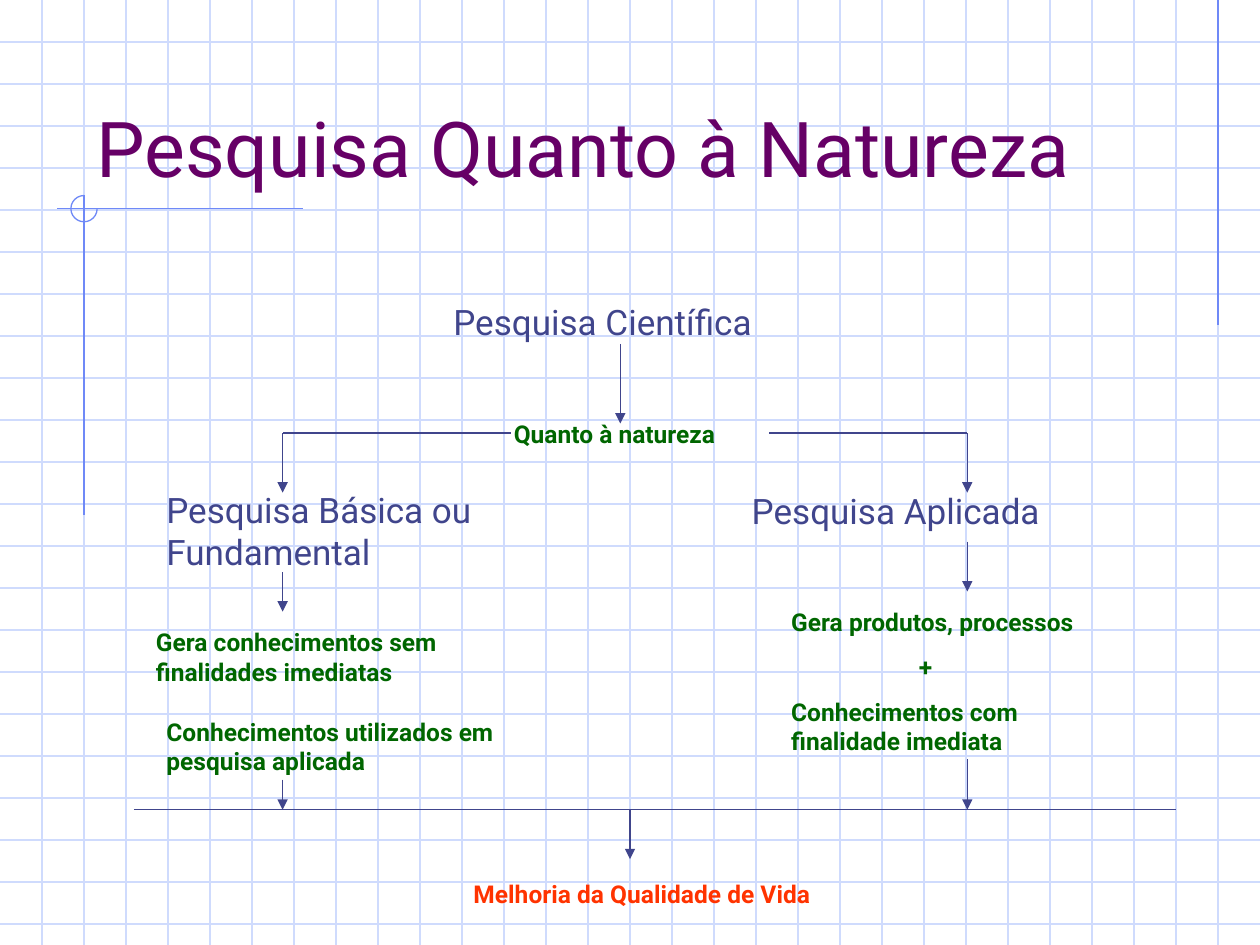
from lxml.etree import SubElement
from pptx import Presentation
from pptx.dml.color import RGBColor
from pptx.enum.shapes import MSO_CONNECTOR, MSO_SHAPE
from pptx.enum.text import MSO_ANCHOR
from pptx.oxml.ns import qn
from pptx.util import Pt

WIDTH, HEIGHT, GRID = 720, 540, 24
FONT = "Roboto"
COLORS = {
    "grid": "CFDBFD", "accent": "6F89F7", "title": "660066",
    "navy": "40458C", "green": "006600", "red": "FF3300",
}

TITLE = "Pesquisa Quanto à Natureza"
HEADINGS = [
    ("Pesquisa Científica", 252, 168, 221, 32),
    ("Pesquisa Básica ou Fundamental", 88, 275.5, 221, 55.5),
    ("Pesquisa Aplicada", 422.5, 276, 221, 32),
]
NOTES = [
    (["Quanto à natureza"], 286.5, 236, 159, 24.5, "green"),
    (["Gera produtos, processos", "+", "Conhecimentos com finalidade imediata"],
     445, 343.5, 209.5, 92, "green"),
    (["Gera conhecimentos sem finalidades imediatas"], 82, 355, 209.5, 41, "green"),
    (["Conhecimentos utilizados em pesquisa aplicada"], 88, 406, 209.5, 41, "green"),
    (["Melhoria da Qualidade de Vida"], 263.5, 499, 272, 24.5, "red"),
]

LEFT, RIGHT, BRANCH, BASE = 161.5, 552.75, 247.5, 462.75
ARROWS = [
    (354.5, 196.5, 242), (LEFT, BRANCH, 281.5), (RIGHT, BRANCH, 281.5),
    (RIGHT, 309.5, 338), (LEFT, 327, 349.5), (LEFT, 445.5, BASE),
    (RIGHT, 434, BASE), (360, BASE, 491),
]
BARS = [(292, LEFT, BRANCH), (439.5, RIGHT, BRANCH), (76.5, 672, BASE)]
CROSS_X, CROSS_Y, RADIUS = 48, 119.25, 7.5
ACCENTS = [
    (696, 0, 696, 186), (173, CROSS_Y, 32.5, CROSS_Y),
    (CROSS_X, 111.5, CROSS_X, 294.5),
]


def rgb(name):
    return RGBColor.from_string(COLORS[name])


def add_line(x1, y1, x2, y2, color, arrow=False):
    sp = slide.shapes.add_connector(
        MSO_CONNECTOR.STRAIGHT, Pt(x1), Pt(y1), Pt(x2), Pt(y2))
    sp.line.color.rgb = rgb(color)
    sp.line.width = Pt(0.75)
    if arrow:
        SubElement(sp.line._get_or_add_ln(), qn("a:tailEnd"), type="triangle")
    SubElement(sp._element.spPr, qn("a:effectLst"))


def add_text(paragraphs, x, y, w, h, size, color, bold=False,
             anchor=MSO_ANCHOR.TOP, before=0):
    sp = slide.shapes.add_textbox(Pt(x), Pt(y), Pt(w), Pt(h))
    tf = sp.text_frame
    tf.word_wrap = True
    tf.vertical_anchor = anchor
    for i, text in enumerate(paragraphs):
        p = tf.paragraphs[0] if i == 0 else tf.add_paragraph()
        p.space_before = Pt(before)
        if text == "+":
            p._p.get_or_add_pPr().set("marL", str(Pt(73)))
        r = p.add_run()
        r.text = text
        r.font.name, r.font.size, r.font.bold = FONT, Pt(size), bold
        r.font.color.rgb = rgb(color)


prs = Presentation()
prs.slide_width, prs.slide_height = Pt(WIDTH), Pt(HEIGHT)
slide = prs.slides.add_slide(prs.slide_layouts[6])

for y in range(GRID, HEIGHT, GRID):
    add_line(0, y, WIDTH, y, "grid")
for x in range(GRID, WIDTH, GRID):
    add_line(x, 0, x, HEIGHT, "grid")
for ends in ACCENTS:
    add_line(*ends, "accent")

arc = slide.shapes.add_shape(
    MSO_SHAPE.ARC, Pt(CROSS_X - RADIUS), Pt(CROSS_Y - RADIUS),
    Pt(2 * RADIUS), Pt(2 * RADIUS))
arc.adjustments[0], arc.adjustments[1] = 0, 162
arc.shadow.inherit = False
arc.fill.background()
arc.line.color.rgb = rgb("accent")
arc.line.width = Pt(0.75)

add_text([TITLE], 48, 24, 612, 90, size=44, color="title", anchor=MSO_ANCHOR.BOTTOM)
for text, *box in HEADINGS:
    add_text([text], *box, size=20, color="navy", before=12.5)
for paragraphs, *box, color in NOTES:
    add_text(paragraphs, *box, size=14, color=color, bold=True, before=8.8)
for x1, x2, y in BARS:
    add_line(x1, y, x2, y, "navy")
for x, y1, y2 in ARROWS:
    add_line(x, y1, x, y2, "navy", arrow=True)

prs.save("out.pptx")
